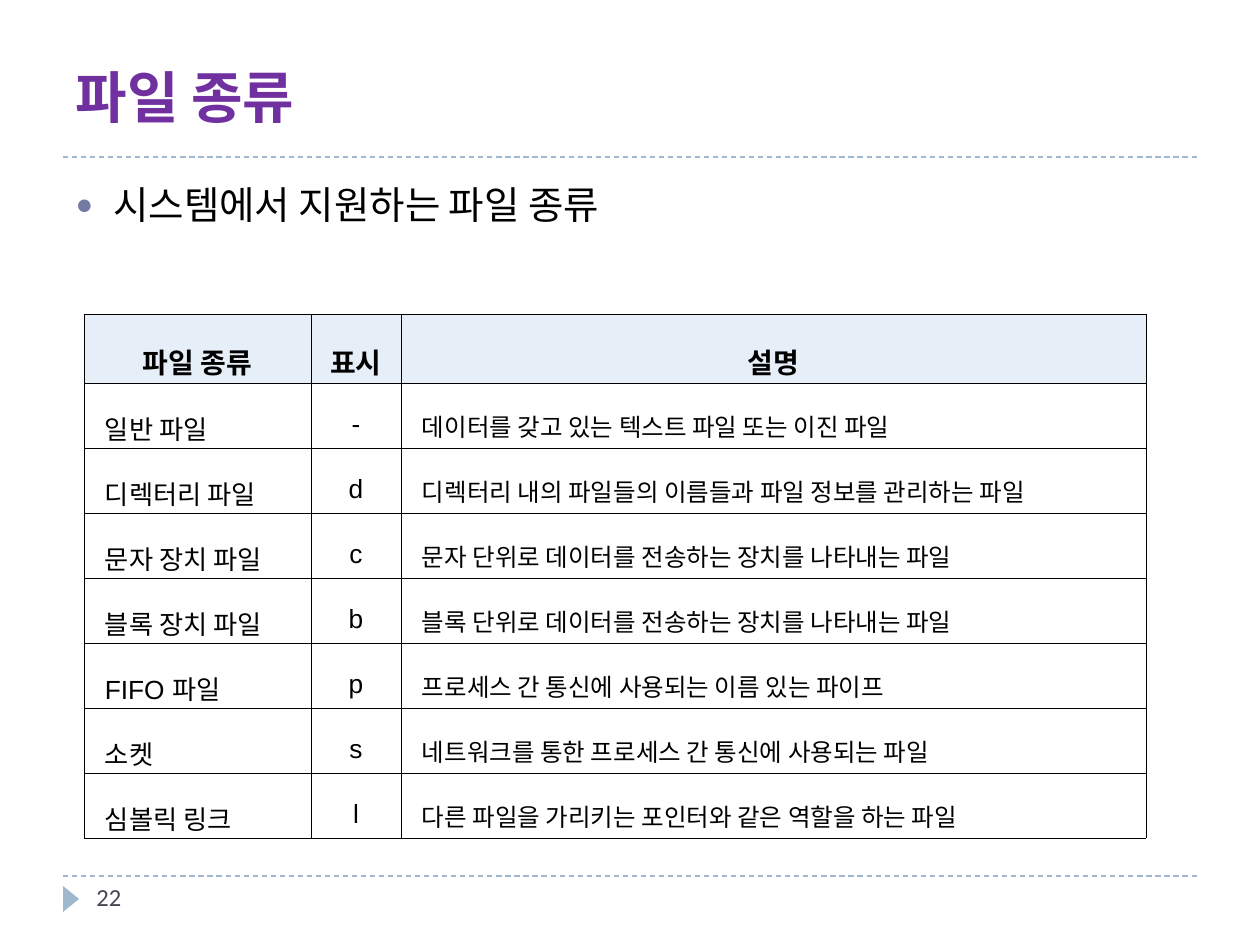
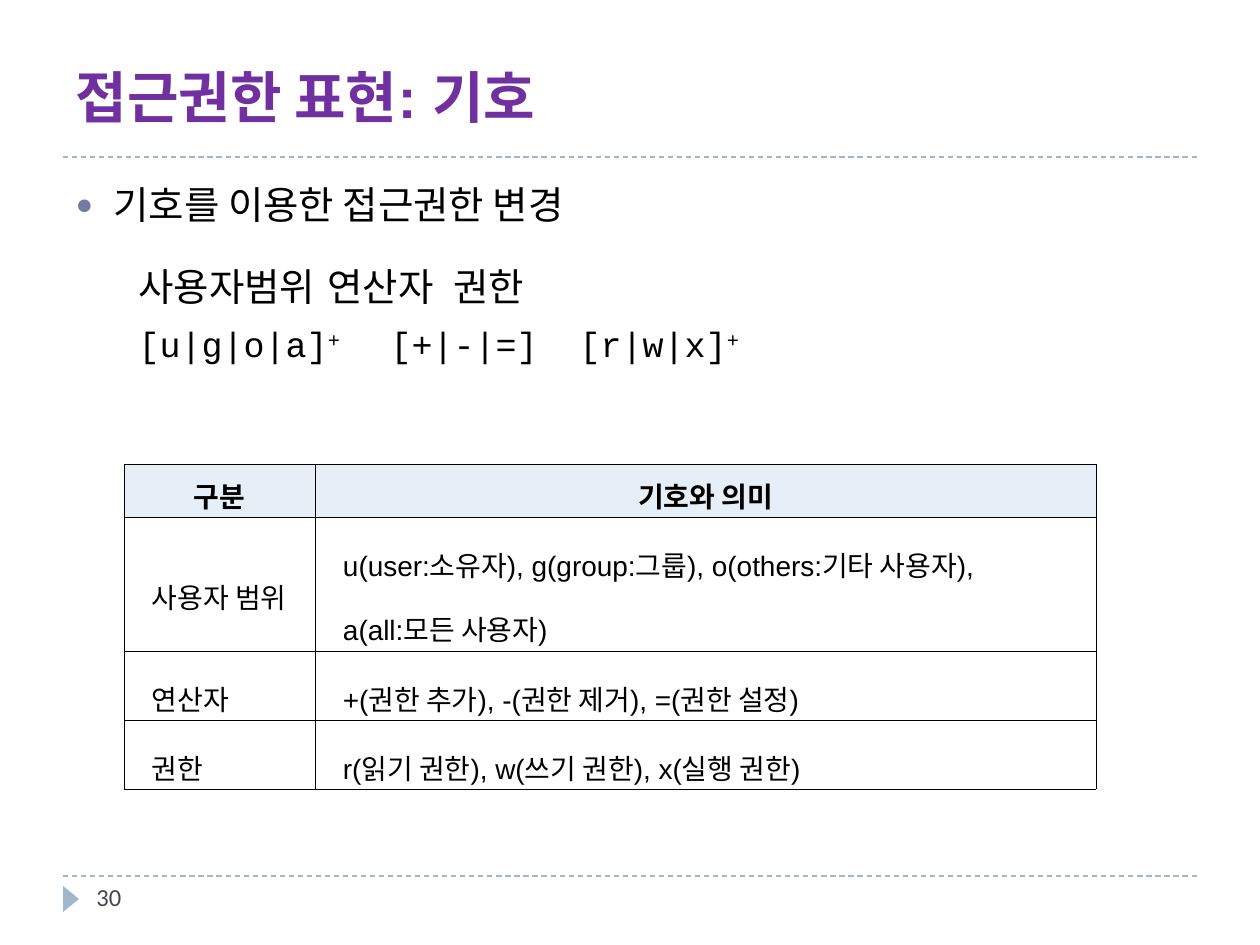
"""Build two slides on file types and symbolic access permissions."""
from lxml.etree import SubElement
from pptx import Presentation
from pptx.dml.color import RGBColor
from pptx.enum.dml import MSO_LINE
from pptx.enum.shapes import MSO_CONNECTOR, MSO_SHAPE
from pptx.enum.text import MSO_ANCHOR, MSO_AUTO_SIZE, PP_ALIGN
from pptx.oxml.ns import qn
from pptx.util import Pt

PURPLE = RGBColor(0x70, 0x30, 0xA0)
BLACK = RGBColor(0x00, 0x00, 0x00)
SLATE = RGBColor(0x46, 0x46, 0x53)
STEEL = RGBColor(0x9F, 0xB8, 0xCD)
BULLET = RGBColor(0x72, 0x7C, 0xA3)
HEADER = RGBColor(0xE6, 0xEE, 0xF7)

LEFT, CENTER, JUSTIFY = PP_ALIGN.LEFT, PP_ALIGN.CENTER, PP_ALIGN.JUSTIFY
TITLE_BOX = (63, 21, 1134, 115)
BODY_BOX = (63, 175, 1134, 674)
NUMBER_BOX = (84, 876, 273, 50)
MARKER_BOX = (58, 891, 26, 16)
RULE_LEFT, RULE_RIGHT, RULE_TOPS = 63, 1197, (157, 876)

SYNTAX = [
    [("\t사용자범위 \t연산자 \t권한", 22, "Arial", 0)],
    [("\t", 22, "Arial", 0),
     ("[u|g|o|a]", 20, "Courier New", 0),
     ("+ \t", 20, "Courier New", 30000),
     ("[+|-|=] \t[r|w|x]", 20, "Courier New", 0),
     ("+", 20, "Courier New", 30000)],
]

SLIDES = [
    {
        "title": "파일 종류", "number": "22",
        "bullet": "시스템에서 지원하는 파일 종류", "syntax": [],
        "table": {
            "left": 84, "top": 314, "widths": [227, 90, 745],
            "heights": [69] + [65] * 7,
            "header_font": "Calibri", "header_spacing": 1.6,
            "space_before": 10,
            "columns": [(JUSTIFY, 18, 15), (CENTER, 0, 15), (LEFT, 18, 14)],
            "rows": [
                ("파일 종류", "표시", "설명"),
                ("일반 파일", "-", "데이터를 갖고 있는 텍스트 파일 또는 이진 파일"),
                ("디렉터리 파일", "d",
                 "디렉터리 내의 파일들의 이름들과 파일 정보를 관리하는 파일"),
                ("문자 장치 파일", "c",
                 "문자 단위로 데이터를 전송하는 장치를 나타내는 파일"),
                ("블록 장치 파일", "b",
                 "블록 단위로 데이터를 전송하는 장치를 나타내는 파일"),
                ("FIFO 파일", "p", "프로세스 간 통신에 사용되는 이름 있는 파이프"),
                ("소켓", "s", "네트워크를 통한 프로세스 간 통신에 사용되는 파일"),
                ("심볼릭 링크", "l",
                 "다른 파일을 가리키는 포인터와 같은 역할을 하는 파일"),
            ],
        },
    },
    {
        "title": "접근권한 표현: 기호", "number": "30",
        "bullet": "기호를 이용한 접근권한 변경", "syntax": SYNTAX,
        "table": {
            "left": 124, "top": 464, "widths": [191, 781],
            "heights": [53, 134, 69, 69],
            "header_font": "Arial", "header_spacing": 1.2,
            "space_before": 0,
            "columns": [(JUSTIFY, 25, 16), (JUSTIFY, 25, 16)],
            "rows": [
                ("구분", "기호와 의미"),
                ("사용자 범위",
                 "u(user:소유자), g(group:그룹), o(others:기타 사용자),\n"
                 "a(all:모든 사용자)"),
                ("연산자", "+(권한 추가), -(권한 제거), =(권한 설정)"),
                ("권한", "r(읽기 권한), w(쓰기 권한), x(실행 권한)"),
            ],
        },
    },
]


def px(length):
    """Turn pixels into EMU."""
    return round(length * 914400 / 126)


def apply(target, **values):
    """Set each named attribute on the target."""
    for name, value in values.items():
        setattr(target, name, value)


def add_run(p, text, size, font, color, bold=False):
    """Add one formatted run to a paragraph."""
    r = p.add_run()
    r.text = text
    apply(r.font, size=Pt(size), name=font, bold=bold)
    r.font.color.rgb = color
    return r


def set_indent(p, margin, first=0):
    """Set the left margin and first-line indent of a paragraph."""
    pPr = p._p.get_or_add_pPr()
    pPr.set("marL", str(px(margin)))
    pPr.set("indent", str(px(first)))
    return pPr


def place(shape, box):
    """Move and size a shape to a pixel box."""
    apply(shape, **dict(zip(("left", "top", "width", "height"), map(px, box))))


def decorate_layout(layout, s):
    """Place the shared placeholders, dashed rules and marker on the layout."""
    for placeholder, box in zip(layout.placeholders, (TITLE_BOX, BODY_BOX)):
        place(placeholder, box)
    for top in RULE_TOPS:
        rule = s.shapes.add_connector(
            MSO_CONNECTOR.STRAIGHT, px(RULE_LEFT), px(top), px(RULE_RIGHT), px(top))
        apply(rule.line, width=Pt(0.75), dash_style=MSO_LINE.DASH)
        rule.line.color.rgb = STEEL
        SubElement(rule.element.spPr, qn("a:effectLst"))
        layout.shapes.element.append(rule.element)
    marker = s.shapes.add_shape(MSO_SHAPE.ISOSCELES_TRIANGLE, *map(px, MARKER_BOX))
    marker.rotation = 90
    marker.shadow.inherit = False
    marker.fill.solid()
    marker.fill.fore_color.rgb = STEEL
    marker.line.fill.background()
    layout.shapes.element.append(marker.element)


def add_heading(s, title, number):
    """Fill in the title and the page number."""
    tf = s.shapes.title.text_frame
    apply(tf, vertical_anchor=MSO_ANCHOR.BOTTOM, auto_size=MSO_AUTO_SIZE.NONE)
    p = tf.paragraphs[0]
    p.alignment = LEFT
    add_run(p, title, 32, "Arial", PURPLE, True)
    tf = s.shapes.add_textbox(*map(px, NUMBER_BOX)).text_frame
    tf.word_wrap = True
    add_run(tf.paragraphs[0], number, 14, "Calibri", SLATE)


def add_body(s, bullet, syntax):
    """Fill in the bulleted line and the tabbed syntax lines."""
    tf = s.placeholders[1].text_frame
    tf.auto_size = MSO_AUTO_SIZE.NONE
    p = tf.paragraphs[0]
    p.space_before = Pt(6)
    pPr = set_indent(p, 38, -38)
    color = SubElement(pPr, qn("a:buClr"))
    SubElement(color, qn("a:srgbClr"), val=str(BULLET))
    SubElement(pPr, qn("a:buSzPct"), val="76000")
    SubElement(pPr, qn("a:buFont"), typeface="Arial")
    SubElement(pPr, qn("a:buChar"), char="●")
    add_run(p, bullet, 22, "Arial", BLACK)
    for i, runs in enumerate(syntax):
        p = tf.add_paragraph()
        p.space_before = Pt(6 if i else 20)
        SubElement(set_indent(p, 0), qn("a:buNone"))
        for text, size, font, baseline in runs:
            r = add_run(p, text, size, font, BLACK)
            if baseline:
                r.font._element.set("baseline", str(baseline))


def add_borders(cell):
    """Draw thin black lines on all four sides of a cell."""
    tcPr = cell._tc.get_or_add_tcPr()
    for side in "LRTB":
        line = SubElement(tcPr, qn(f"a:ln{side}"), w=str(Pt(0.28)))
        fill = SubElement(line, qn("a:solidFill"))
        SubElement(fill, qn("a:srgbClr"), val=str(BLACK))


def add_grid(s, spec_table):
    """Add a table with a tinted header row."""
    rows, widths = spec_table["rows"], spec_table["widths"]
    heights = spec_table["heights"]
    table = s.shapes.add_table(
        len(rows), len(widths), px(spec_table["left"]), px(spec_table["top"]),
        px(sum(widths)), px(sum(heights))).table
    apply(table, first_row=False, horz_banding=False)
    for column, width in zip(table.columns, widths):
        column.width = px(width)
    for i, (row, height) in enumerate(zip(rows, heights)):
        table.rows[i].height = px(height)
        for j, text in enumerate(row):
            cell = table.cell(i, j)
            add_borders(cell)
            apply(cell, vertical_anchor=MSO_ANCHOR.MIDDLE, margin_left=px(3),
                  margin_right=px(3), margin_top=px(3), margin_bottom=px(3))
            if i == 0:
                cell.fill.solid()
                cell.fill.fore_color.rgb = HEADER
                align, indent, size = CENTER, 0, 16
                font, spacing, before = (
                    spec_table["header_font"], spec_table["header_spacing"], 0)
            else:
                cell.fill.background()
                align, indent, size = spec_table["columns"][j]
                font, spacing, before = "Arial", 1.6, spec_table["space_before"]
            tf = cell.text_frame
            for k, line in enumerate(text.split("\n")):
                p = tf.add_paragraph() if k else tf.paragraphs[0]
                apply(p, alignment=align, line_spacing=spacing,
                      space_before=Pt(before))
                set_indent(p, indent)
                add_run(p, line, size, font, BLACK, i == 0)


def main():
    """Build and save the presentation."""
    prs = Presentation()
    apply(prs, slide_width=px(1260), slide_height=px(945))
    layout = prs.slide_layouts[1]
    for i, content in enumerate(SLIDES):
        s = prs.slides.add_slide(layout)
        if i == 0:
            decorate_layout(layout, s)
        add_heading(s, content["title"], content["number"])
        add_body(s, content["bullet"], content["syntax"])
        add_grid(s, content["table"])
    prs.save("out.pptx")


if __name__ == "__main__":
    main()
